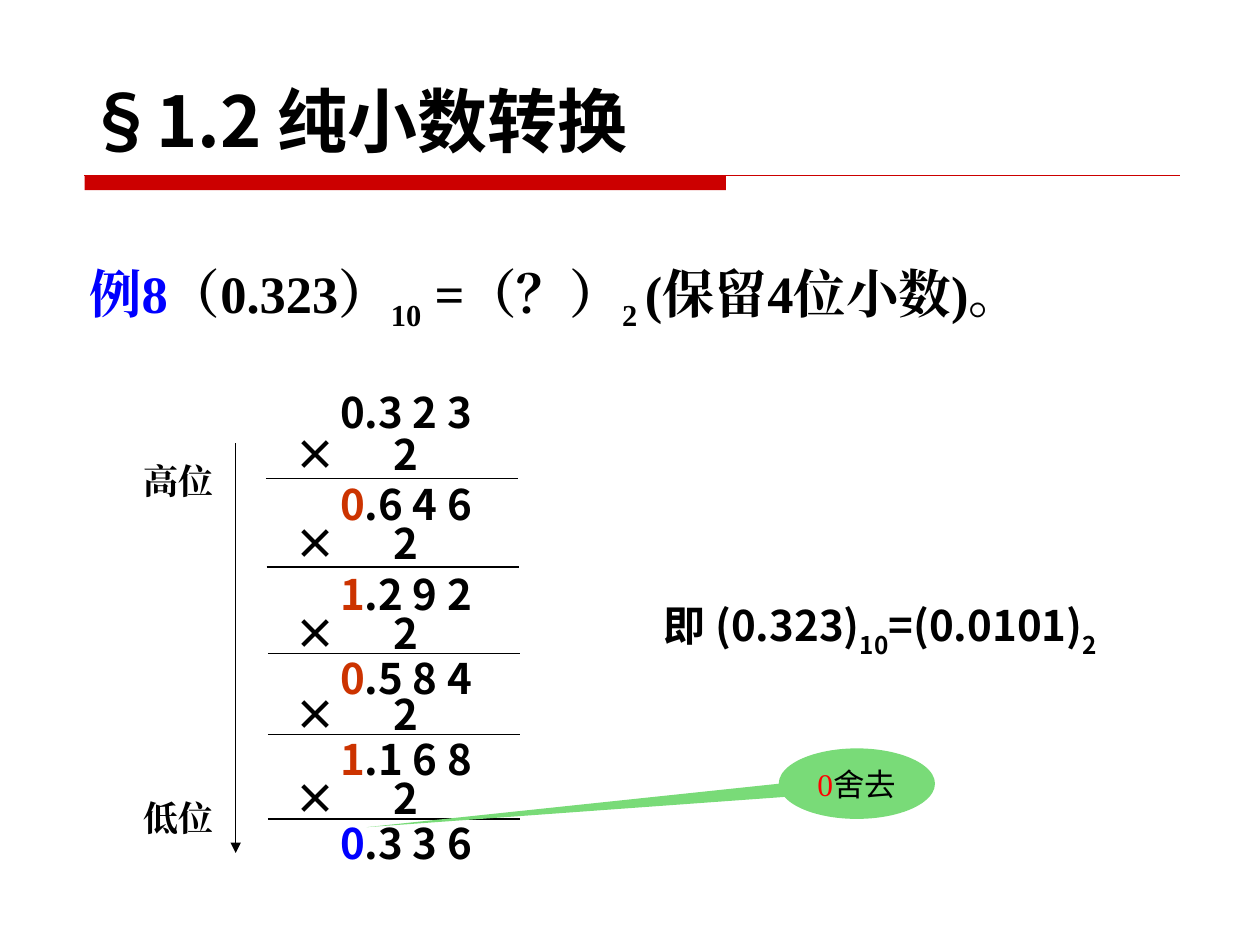
from lxml.etree import SubElement
from pptx import Presentation
from pptx.dml.color import RGBColor
from pptx.enum.shapes import MSO_CONNECTOR, MSO_SHAPE
from pptx.enum.text import MSO_ANCHOR
from pptx.oxml.ns import qn
from pptx.util import Pt

SANS, SERIF = "Noto Sans CJK SC", "Times New Roman"
BLACK, RED, BLUE, ORANGE = "000000", "CC0000", "0000FF", "CC3300"
STEPS = [
    # digit, rest, digit colour, value top, factor top, rule top, rule left
    ("0", ".3 2 3", BLACK, 0, 23.8, 56.2, 0),
    ("0", ".6 4 6", ORANGE, 52.6, 74.9, 106.6, 0.5),
    ("1", ".2 9 2", ORANGE, 103.7, 126, 156.2, 1.2),
    ("0", ".5 8 4", ORANGE, 152, 172.8, 202.4, 1.2),
    ("1", ".1 6 8", ORANGE, 198, 220.4, 250.6, 1.2),
    ("0", ".3 3 6", BLUE, 246.3, None, None, None),
][:]


def color(value):
    """Turn a hex string into a colour."""
    return RGBColor.from_string(value)


def add_run(p, text, size=24, font=SANS, fill=BLACK, bold=True, base=0):
    """Add formatted text to a paragraph; base is the subscript shift in percent."""
    r = p.add_run()
    r.text = text
    f = r.font
    f.size, f.bold, f.name = Pt(size), bold, font
    f.color.rgb = color(fill)
    SubElement(f._element, qn("a:ea")).set("typeface", font)
    if base:
        f._element.set("baseline", str(base * 1000))


def add_text(s, x, y, w, h, runs, anchor=MSO_ANCHOR.TOP, wrap=True, **fmt):
    """Add a text box of (text, overrides) runs and return its paragraph."""
    tf = s.shapes.add_textbox(Pt(x), Pt(y), Pt(w), Pt(h)).text_frame
    tf.word_wrap, tf.vertical_anchor = wrap, anchor
    p = tf.paragraphs[0]
    for text, extra in runs:
        add_run(p, text, **{**fmt, **extra})
    return p


def add_line(s, x1, y1, x2, y2, fill=BLACK, arrow=False):
    """Draw a thin straight line, with an arrowhead at its end if asked."""
    c = s.shapes.add_connector(MSO_CONNECTOR.STRAIGHT, Pt(x1), Pt(y1), Pt(x2), Pt(y2))
    c.line.width, c.line.color.rgb = Pt(0.75), color(fill)
    if arrow:
        SubElement(c.line._get_or_add_ln(), qn("a:tailEnd")).set("type", "triangle")
    SubElement(c._element.spPr, qn("a:effectLst"))


def add_filled(s, kind, x, y, w, h, fill):
    """Add a filled preset shape without outline or shadow."""
    sp = s.shapes.add_shape(kind, Pt(x), Pt(y), Pt(w), Pt(h))
    sp.shadow.inherit = False
    sp.fill.solid()
    sp.fill.fore_color.rgb = color(fill)
    sp.line.fill.background()
    return sp


def add_header(s, x, y, w):
    """Place the title above its thick and thin red rule."""
    add_filled(s, MSO_SHAPE.RECTANGLE, x + 5.8, y + 74.2, 366.5, 8.6, RED)
    add_line(s, x + 5.8, y + 74.2, x + 632, y + 74.2, RED)
    add_text(s, x, y, w, 69.8, [("§1.2 纯小数转换", {})], MSO_ANCHOR.BOTTOM, size=40)


def add_question(s, x, y, w):
    """Place the example question."""
    sub = {"base": -25}
    runs = [("例8", {"fill": BLUE}), ("（0.323）", {}), ("10", sub), (" =（？）", {}),
            ("2 ", sub), ("(保留4位小数)。", {})]
    add_text(s, x, y, w, 48.2, runs, size=30, font=SERIF)


def add_calculation(s, x, y):
    """Place the repeated multiplication with its reading direction."""
    for digit, rest, fill, value_y, factor_y, rule_y, shift in STEPS:
        add_text(s, x + 112.3, y + value_y, 115, 36, [(digit, {"fill": fill}), (rest, {})])
        if factor_y is None:
            continue
        p = add_text(s, x + 86.4, y + factor_y, 140, 36, [("×\t2", {})])
        tabs = SubElement(p._p.get_or_add_pPr(), qn("a:tabLst"))
        SubElement(tabs, qn("a:tab"), pos=str(Pt(56.5)), algn="l")
        left = x + 77 + shift
        add_line(s, left, y + rule_y, left + 144, y + rule_y)
    add_line(s, x + 59.8, y + 36, x + 59.8, y + 270, arrow=True)
    for label, top in (("高位", 41.8), ("低位", 234)):
        add_text(s, x, y + top, 57.6, 31.7, [(label, {})], wrap=False, size=20, font=SERIF)


def add_result(s, x, y, w):
    """Place the converted number."""
    sub = {"base": -30}
    add_text(s, x, y, w, 41, [("即 (0.323)", {}), ("10", sub), ("=(0.0101)", {}), ("2", sub)])


def add_callout(s, x, y, w, h):
    """Place the balloon that points at the dropped digit."""
    sp = add_filled(s, MSO_SHAPE.OVAL_CALLOUT, x, y, w, h, "79DB78")
    sp.adjustments[0], sp.adjustments[1] = -3.138, 0.617
    tf = sp.text_frame
    tf.word_wrap, tf.vertical_anchor = False, MSO_ANCHOR.MIDDLE
    p = tf.paragraphs[0]
    add_run(p, "0", size=18, font=SERIF, fill="FF0000", bold=False)
    add_run(p, "舍去", size=18, bold=False)


def main():
    """Build and save the slide."""
    prs = Presentation()
    prs.slide_width, prs.slide_height = Pt(720), Pt(540)
    s = prs.slides.add_slide(prs.slide_layouts[6])
    add_header(s, 42.5, 25.9, 630)
    add_question(s, 43.9, 145.4, 648)
    add_result(s, 372.2, 339.1, 306)
    add_calculation(s, 74.9, 217.4)
    add_callout(s, 445, 427.7, 89.3, 40.3)
    prs.save("out.pptx")


if __name__ == "__main__":
    main()
